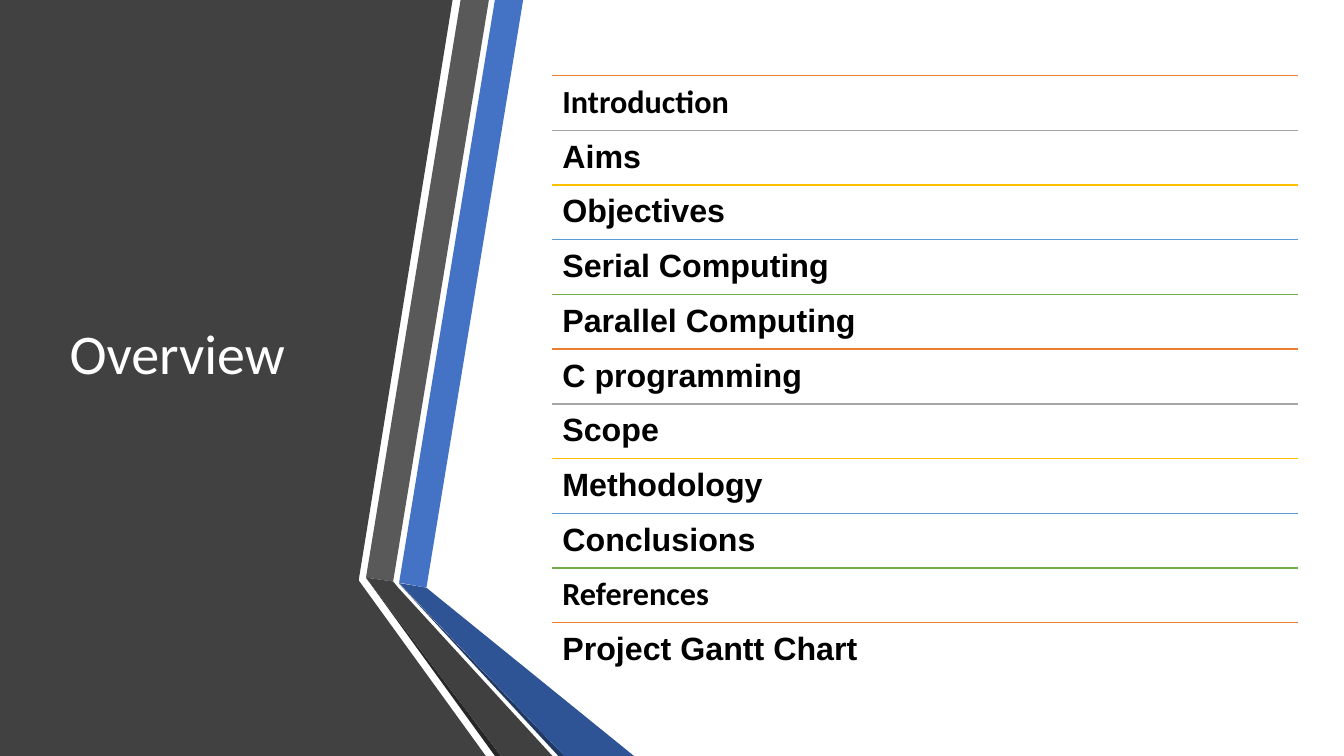
"""Build the Overview slide: a dark angled panel beside a ruled list of topics."""
from lxml import etree
from pptx import Presentation
from pptx.dml.color import RGBColor
from pptx.enum.shapes import MSO_CONNECTOR
from pptx.enum.text import MSO_ANCHOR, MSO_AUTO_SIZE, PP_ALIGN
from pptx.oxml.ns import qn
from pptx.util import Pt

STRAIGHT = MSO_CONNECTOR.STRAIGHT
MIDDLE, TOP = MSO_ANCHOR.MIDDLE, MSO_ANCHOR.TOP
LEFT = PP_ALIGN.LEFT
NO_FIT = MSO_AUTO_SIZE.NONE

COLORS = {
    "panel": "414141", "blue": "4472C4", "grey": "595959",
    "grey_edge": "262626", "blue_edge": "1F3864",
    "blue_fold": "2F5496", "grey_fold": "404040",
    "white": "FFFFFF", "black": "000000",
}
RULES = ["ED7D31", "A5A5A5", "FFC000", "599BD5", "70AD47"]

BANDS = [
    ("panel", [(0, 0), (323.3, 0), (256.3, 414), (256.3, 414.7), (347, 540), (0, 540)]),
    ("blue", [(285.1, 416.2), (304.6, 419.8), (373.7, 0), (353.5, 0)]),
    ("grey", [(349.2, 0), (329, 0), (261.4, 412.6), (280.8, 415.4)]),
    ("grey_edge", [(261.4, 412.6), (353.5, 540), (357.8, 540)]),
    ("blue_edge", [(285.1, 416.9), (398.9, 540), (403.2, 540)]),
    ("blue_fold", [(285.1, 416.5), (403.2, 540), (452.9, 540), (304.6, 419.8)]),
    ("grey_fold", [(394.6, 540), (284.4, 419.8), (280.8, 415.4), (261.4, 412.6), (357.8, 540)]),
]

TOPICS = [
    ("Introduction", "Calibri"), ("Aims", "Arial"), ("Objectives", "Arial"),
    ("Serial Computing", "Arial"), ("Parallel Computing", "Arial"),
    ("C programming", "Arial"), ("Scope", "Arial"), ("Methodology", "Arial"),
    ("Conclusions", "Arial"), ("References", "Calibri"),
    ("Project Gantt Chart", "Arial"),
]
LIST_X, LIST_Y, LIST_W, ROW_H = 394.6, 54, 532.8, 39.08


def format_text(sp, text, font, size, color, anchor, inset_y):
    """Fill a shape with one left-aligned line and return its paragraph."""
    tf = sp.text_frame
    tf.text = text
    tf.word_wrap = True
    tf.auto_size = NO_FIT
    tf.vertical_anchor = anchor
    tf.margin_left = tf.margin_right = Pt(7.2)
    tf.margin_top = tf.margin_bottom = Pt(inset_y)
    p = tf.paragraphs[0]
    p.alignment = LEFT
    p.line_spacing = 0.9
    p.font.name = font
    p.font.size = Pt(size)
    p.font.color.rgb = RGBColor.from_string(COLORS[color])
    return p


prs = Presentation()
prs.slide_width, prs.slide_height = Pt(960), Pt(540)
s = prs.slides.add_slide(prs.slide_layouts[5])

for color, points in BANDS:
    corners = [(Pt(x), Pt(y)) for x, y in points]
    builder = s.shapes.build_freeform(*corners[0])
    builder.add_line_segments(corners[1:], close=True)
    sp = builder.convert_to_shape()
    sp.shadow.inherit = False
    sp.fill.solid()
    sp.fill.fore_color.rgb = RGBColor.from_string(COLORS[color])
    sp.line.fill.background()

title = s.shapes.title
title.left, title.top, title.width, title.height = Pt(42.5), Pt(54), Pt(218.9), Pt(401.8)
format_text(title, "Overview", "Calibri", 40, "white", MIDDLE, 3.6)
title.element.getparent().append(title.element)

for i, (topic, font) in enumerate(TOPICS):
    y = LIST_Y + i * ROW_H
    rule = s.shapes.add_connector(STRAIGHT, Pt(LIST_X), Pt(y), Pt(LIST_X + LIST_W), Pt(y))
    rule.line.color.rgb = RGBColor.from_string(RULES[i % len(RULES)])
    rule.line.width = Pt(1)
    etree.SubElement(rule.element.spPr, qn("a:effectLst"))
    box = s.shapes.add_textbox(Pt(LIST_X), Pt(y), Pt(LIST_W), Pt(ROW_H))
    p = format_text(box, topic, font, 23, "black", TOP, 7.2)
    p.font.bold = True

prs.save("out.pptx")
